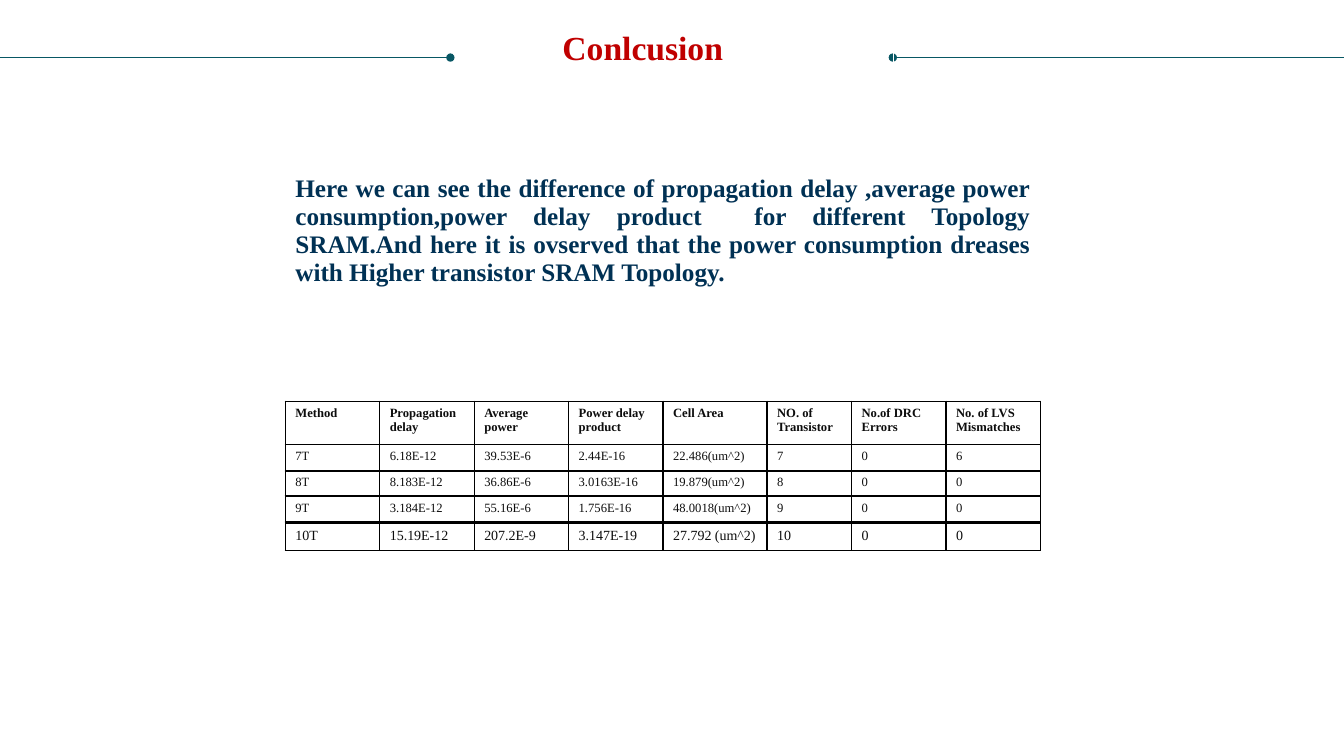
from lxml import etree
from pptx import Presentation
from pptx.dml.color import RGBColor
from pptx.enum.shapes import MSO_CONNECTOR
from pptx.enum.text import PP_ALIGN
from pptx.oxml.ns import qn
from pptx.util import Cm, Pt

STRAIGHT = MSO_CONNECTOR.STRAIGHT
LEFT, JUSTIFY = PP_ALIGN.LEFT, PP_ALIGN.JUSTIFY
TEAL = RGBColor(0x08, 0x57, 0x64)
RED = RGBColor(0xC0, 0x00, 0x00)
NAVY = RGBColor(0x00, 0x31, 0x54)
INK = RGBColor(0x0D, 0x0D, 0x0D)
BLACK = RGBColor(0x00, 0x00, 0x00)
WHITE = RGBColor(0xFF, 0xFF, 0xFF)
FONT = "Times New Roman"
MARGIN_LEFT = 7.19
METHOD_WIDTHS = [2.38, 2.38, 2.38, 2.38, 2.62, 2.13, 2.38, 2.38]

prs = Presentation()
prs.slide_width, prs.slide_height = Cm(33.87), Cm(19.05)
slide = prs.slides.add_slide(prs.slide_layouts[6])


def set_borders(cell, color):
    properties = cell._tc.get_or_add_tcPr()
    for index, side in enumerate(("a:lnL", "a:lnR", "a:lnT", "a:lnB")):
        border = etree.Element(qn(side), w=str(Pt(1)))
        fill = etree.SubElement(border, qn("a:solidFill"))
        etree.SubElement(fill, qn("a:srgbClr"), val=str(color))
        properties.insert(index, border)


def add_grid(left, top, widths, heights, rows, size, color, border,
             bold_header=True, align=LEFT):
    grid = slide.shapes.add_table(len(rows), len(widths), Cm(left), Cm(top),
                                  Cm(sum(widths)), Cm(sum(heights))).table
    grid.first_row = grid.horz_banding = False
    for column, width in zip(grid.columns, widths):
        column.width = Cm(width)
    for r, (height, values) in enumerate(zip(heights, rows)):
        grid.rows[r].height = Cm(height)
        for c, value in enumerate(values):
            cell = grid.cell(r, c)
            cell.fill.background()
            set_borders(cell, border)
            paragraph = cell.text_frame.paragraphs[0]
            paragraph.text = value
            paragraph.alignment = align
            paragraph.font.name = FONT
            paragraph.font.size = Pt(size)
            paragraph.font.bold = bold_header and r == 0
            paragraph.font.color.rgb = color


for start, end, dot in ((22.5, 33.87, "a:headEnd"), (0, 11.35, "a:tailEnd")):
    rule = slide.shapes.add_connector(STRAIGHT, Cm(start), Cm(1.45), Cm(end), Cm(1.45))
    rule.line.color.rgb = TEAL
    rule.line.width = Pt(0.5)
    etree.SubElement(rule.line._get_or_add_ln(), qn(dot), type="oval")
    etree.SubElement(rule._element.spPr, qn("a:effectLst"))

add_grid(13.92, 0.64, [8.59], [1.27], [["Conlcusion"]], 24, RED, WHITE)

conclusion = (
    "Here we can see the difference of propagation delay ,average power "
    "consumption,power delay product  for different Topology SRAM.And here it is "
    "ovserved that the power consumption dreases with Higher transistor SRAM Topology."
)
add_grid(MARGIN_LEFT, 4.29, [sum(METHOD_WIDTHS)], [3.3], [[conclusion]],
         18, NAVY, WHITE, align=JUSTIFY)

header = ["Method", "Propagation delay", "Average power", "Power delay product",
          "Cell Area", "NO. of Transistor", "No.of DRC Errors", "No. of LVS Mismatches"]
method_7t = ["7T", "6.18E-12", "39.53E-6", "2.44E-16", "22.486(um^2)", "7", "0", "6"]
method_8t = ["8T", "8.183E-12", "36.86E-6", "3.0163E-16", "19.879(um^2)", "8", "0", "0"]
method_9t = ["9T", "3.184E-12", "55.16E-6", "1.756E-16", "48.0018(um^2)", "9", "0", "0"]
method_10t = ["10T", "15.19E-12", "207.2E-9", "3.147E-19", "27.792 (um^2)", "10", "0", "0"]

for top, heights, rows, size in (
    (10.11, [1.09, 0.69], [header, method_7t], 9),
    (11.86, [0.64], [method_8t], 9),
    (12.5, [0.64], [method_9t], 9),
    (13.18, [0.69], [method_10t], 10),
):
    add_grid(MARGIN_LEFT, top, METHOD_WIDTHS, heights, rows, size, INK, BLACK,
             bold_header=rows[0] is header)

prs.save("out.pptx")
